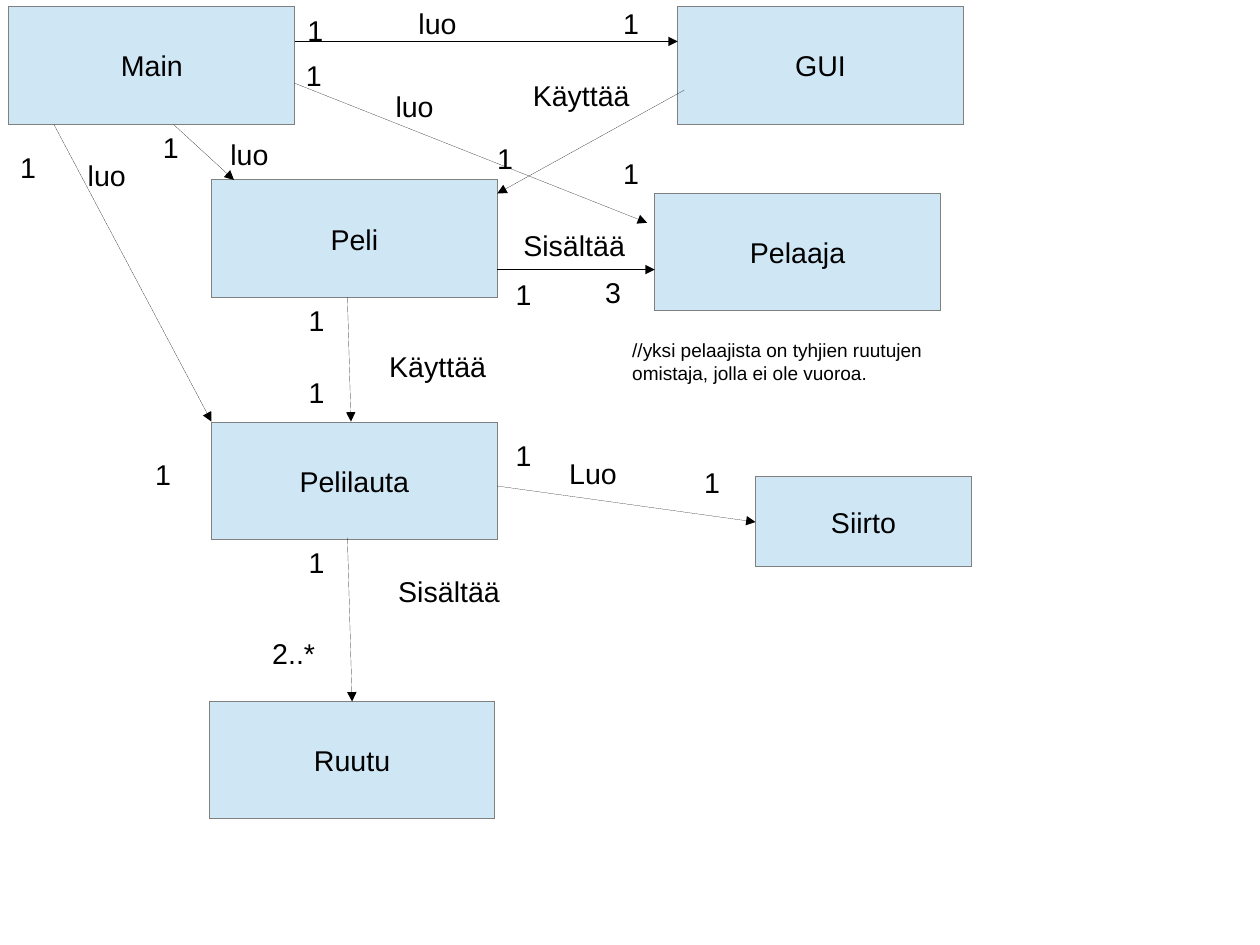
import dataclasses

import lxml.etree
import pptx
import pptx.dml.color
import pptx.enum.shapes
import pptx.enum.text
import pptx.oxml.ns
import pptx.util

Cm = pptx.util.Cm
Pt = pptx.util.Pt
Color = pptx.dml.color.RGBColor


@dataclasses.dataclass(frozen=True)
class Theme:
    font: str = "Arial"
    ink: Color = Color(0x00, 0x00, 0x00)
    fill: Color = Color(0xCF, 0xE7, 0xF5)
    edge: Color = Color(0x80, 0x80, 0x80)
    size: int = 18
    small: int = 12
    hair: float = 0.01
    bold: float = 0.75


THEME = Theme()

# Classes: name, left, top, width, height in cm
WIDE, TALL = 6.35, 2.61
BOXES = [
    ("Peli", 4.7, 4, WIDE, TALL),
    ("Main", 0.2, 0.15, WIDE, TALL),
    ("Pelilauta", 4.7, 9.38, WIDE, TALL),
    ("Ruutu", 4.65, 15.59, WIDE, TALL),
    ("GUI", 15.06, 0.15, WIDE, TALL),
    ("Pelaaja", 14.55, 4.3, WIDE, TALL),
    ("Siirto", 16.79, 10.6, 4.8, 2),
]

# Arrows: start and end in cm, class and side joined at the end, weight
ARROWS = [
    ((15.21, 2), (11.05, 4.3), None, THEME.hair),
    ((7.72, 6.6), (7.8, 9.37), None, THEME.hair),
    ((7.72, 11.94), (7.8, 15.59), ("Ruutu", 0), THEME.hair),
    ((11.05, 5.99), (14.55, 5.99), None, THEME.bold),
    ((6.55, 1.85), (14.38, 4.95), None, THEME.hair),
    ((6.55, 0.92), (15.06, 0.92), None, THEME.hair),
    ((1.2, 2.77), (4.7, 9.37), None, THEME.hair),
    ((3.86, 2.77), (5.2, 4), None, THEME.hair),
    ((11.05, 10.8), (16.79, 11.6), ("Siirto", 1), THEME.hair),
]

# Labels: text, box width, and each left and top in cm
LABELS = [
    ("Käyttää", 3, [(11.59, 1.6), (8.4, 7.64)]),
    ("Sisältää", 3, [(8.6, 12.64), (11.38, 4.95)]),
    ("luo", 1.68, [(9.05, 0), (8.54, 1.85), (4.87, 2.92), (1.7, 3.38)]),
    ("Luo", 3, [(12.4, 10)]),
    ("1", 1, [(0.2, 3.2), (3.2, 10.03), (3.37, 2.77), (6.55, 1.17),
              (6.58, 0.16), (13.6, 0), (10.8, 3), (13.6, 3.35),
              (11.21, 6.04), (6.61, 6.6), (6.61, 8.2), (6.61, 11.99),
              (11.21, 9.6), (15.4, 10.2)]),
    ("3", 1.2, [(13.2, 5.99)]),
    ("2..*", 1.8, [(5.8, 14)]),
]
NOTE = "//yksi pelaajista on tyhjien ruutujen omistaja, jolla ei ole vuoroa."


def write(shape, text, size):
    frame = shape.text_frame
    frame.text = text
    for run in frame.paragraphs[0].runs:
        run.font.name = THEME.font
        run.font.size = Pt(size)
        run.font.color.rgb = THEME.ink
    return frame


def add_box(slide, name, left, top, width, height):
    box = slide.shapes.add_shape(
        pptx.enum.shapes.MSO_SHAPE.RECTANGLE,
        Cm(left), Cm(top), Cm(width), Cm(height))
    box.shadow.inherit = False
    box.fill.solid()
    box.fill.fore_color.rgb = THEME.fill
    box.line.color.rgb = THEME.edge
    box.line.width = Pt(THEME.hair)
    frame = write(box, name, THEME.size)
    frame.word_wrap = False
    frame.vertical_anchor = pptx.enum.text.MSO_ANCHOR.MIDDLE
    frame.paragraphs[0].alignment = pptx.enum.text.PP_ALIGN.CENTER
    return box


def add_arrow(slide, start, end, weight):
    arrow = slide.shapes.add_connector(
        pptx.enum.shapes.MSO_CONNECTOR.STRAIGHT,
        *[Cm(value) for value in start + end])
    arrow.line.color.rgb = THEME.ink
    arrow.line.width = Pt(weight)
    qn = pptx.oxml.ns.qn
    props = arrow._element.spPr
    lxml.etree.SubElement(props.find(qn("a:ln")), qn("a:tailEnd"),
                          type="triangle")
    lxml.etree.SubElement(props, qn("a:effectLst"))
    return arrow


def add_label(slide, text, left, top, width, height=0.96, size=THEME.size):
    label = slide.shapes.add_textbox(
        Cm(left), Cm(top), Cm(width), Cm(height))
    frame = write(label, text, size)
    frame.word_wrap = True
    frame.auto_size = pptx.enum.text.MSO_AUTO_SIZE.SHAPE_TO_FIT_TEXT


def main():
    deck = pptx.Presentation()
    deck.slide_width, deck.slide_height = Cm(28), Cm(21)
    slide = deck.slides.add_slide(deck.slide_layouts[6])

    # Classes
    boxes = {box[0]: add_box(slide, *box) for box in BOXES}

    # Links between classes
    for start, end, joint, weight in ARROWS:
        arrow = add_arrow(slide, start, end, weight)
        if joint:
            name, side = joint
            arrow.end_connect(boxes[name], side)

    # Roles and counts
    for text, width, spots in LABELS:
        for left, top in spots:
            add_label(slide, text, left, top, width)

    # Note on players
    add_label(slide, NOTE, 13.8, 7.4, 7.2, 1.2, THEME.small)

    deck.save("out.pptx")


if __name__ == "__main__":
    main()
